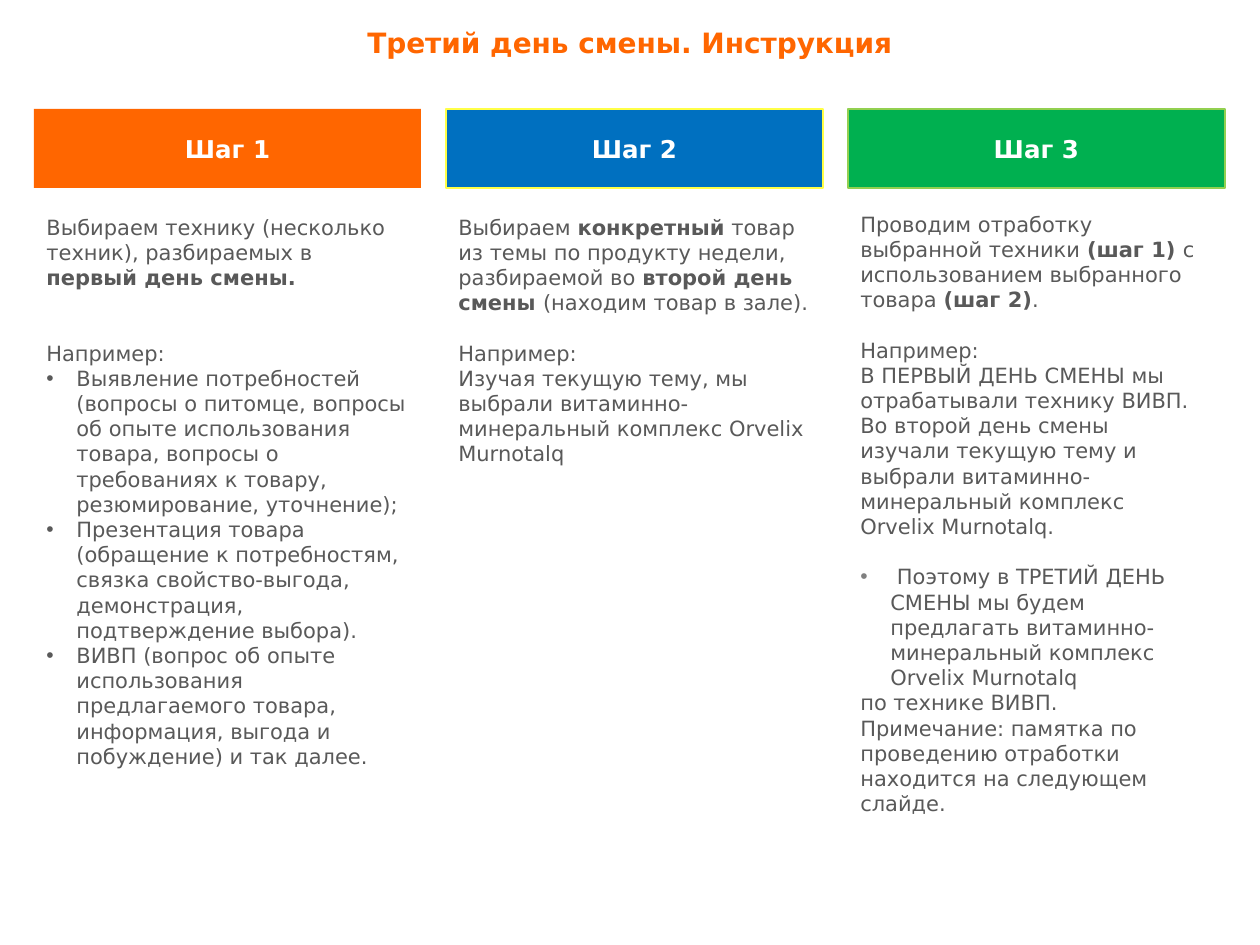
from lxml import etree
from pptx import Presentation
from pptx import util as u
from pptx.dml.color import RGBColor
from pptx.enum import shapes, text
from pptx.oxml.ns import qn

PX = 914400 // 126
FONT = "DejaVu Sans"
LINE_PT = 14.4
BULLET_INDENT = 30
HEADER_TOP, HEADER_HEIGHT = 109, 79
COLORS = {
    "orange": "FF6600", "blue": "0070C0", "green": "00B050",
    "yellow": "FFFF47", "lime": "92D050",
    "body": "595959", "gray": "808080", "white": "FFFFFF",
}

# Paragraph: (wording with **bold** parts, empty lines above, bullet colour)
STEPS = [
    {
        "name": "Шаг 1", "fill": "orange", "border": None,
        "left": 34, "width": 387, "body": (208, 387, 625),
        "paragraphs": [
            ("Выбираем технику (несколько техник), разбираемых в "
             "**первый день смены.**", 0, None),
            ("Например:", 2, None),
            ("Выявление потребностей (вопросы о питомце, вопросы об опыте "
             "использования товара, вопросы о требованиях к товару, "
             "резюмирование, уточнение);", 0, "body"),
            ("Презентация товара (обращение к потребностям, связка "
             "свойство-выгода, демонстрация, подтверждение выбора).", 0, "body"),
            ("ВИВП (вопрос об опыте использования предлагаемого товара, "
             "информация, выгода и побуждение) и так далее.", 0, "body"),
        ],
    },
    {
        "name": "Шаг 2", "fill": "blue", "border": "yellow",
        "left": 446, "width": 377, "body": (208, 377, 377),
        "paragraphs": [
            ("Выбираем **конкретный** товар из темы по продукту недели, "
             "разбираемой во **второй день смены **(находим товар в зале).",
             0, None),
            ("Например:", 1, None),
            ("Изучая текущую тему, мы выбрали витаминно-минеральный комплекс "
             "Orvelix Murnotalq", 0, None),
        ],
    },
    {
        "name": "Шаг 3", "fill": "green", "border": "lime",
        "left": 848, "width": 377, "body": (205, 367, 625),
        "paragraphs": [
            ("Проводим отработку выбранной техники **(шаг 1) **с "
             "использованием выбранного товара **(шаг 2)**.", 0, None),
            ("Например:", 1, None),
            ("В ПЕРВЫЙ ДЕНЬ СМЕНЫ мы отрабатывали технику ВИВП. Во второй "
             "день смены изучали текущую тему и выбрали "
             "витаминно-минеральный комплекс Orvelix Murnotalq.", 0, None),
            (" Поэтому в ТРЕТИЙ ДЕНЬ СМЕНЫ мы будем предлагать "
             "витаминно-минеральный комплекс Orvelix Murnotalq", 1, "gray"),
            ("по технике ВИВП.", 0, None),
            ("Примечание: памятка по проведению отработки находится на "
             "следующем слайде.", 0, None),
        ],
    },
]


def rgb(name):
    return RGBColor.from_string(COLORS[name])


def px(*lengths):
    return [u.Emu(length * PX) for length in lengths]


def style(paragraph, size, color, bold=None):
    font = paragraph.font
    font.name, font.size, font.bold = FONT, u.Pt(size), bold
    font.color.rgb = rgb(color)


def add_bullet(paragraph, color):
    properties = paragraph._p.get_or_add_pPr()
    properties.set("marL", str(BULLET_INDENT * PX))
    properties.set("indent", str(-BULLET_INDENT * PX))
    bullet_color = etree.SubElement(properties, qn("a:buClr"))
    etree.SubElement(bullet_color, qn("a:srgbClr"), val=COLORS[color])
    etree.SubElement(properties, qn("a:buFont"), typeface="Arial")
    etree.SubElement(properties, qn("a:buChar"), char="•")


def add_title(slide, wording):
    frame = slide.shapes.add_textbox(*px(0, 19, 1260, 47)).text_frame
    frame.word_wrap = True
    frame.auto_size = text.MSO_AUTO_SIZE.SHAPE_TO_FIT_TEXT
    title = frame.paragraphs[0]
    title.text = wording
    title.alignment = text.PP_ALIGN.CENTER
    style(title, 16, "orange", True)


def add_header(slide, step):
    header = slide.shapes.add_shape(
        shapes.MSO_SHAPE.RECTANGLE,
        *px(step["left"], HEADER_TOP, step["width"], HEADER_HEIGHT))
    header.shadow.inherit = False
    header.fill.solid()
    header.fill.fore_color.rgb = rgb(step["fill"])
    if step["border"]:
        header.line.color.rgb = rgb(step["border"])
        header.line.width = u.Pt(0.75)
    else:
        header.line.fill.background()
    header.text_frame.vertical_anchor = text.MSO_ANCHOR.MIDDLE
    label = header.text_frame.paragraphs[0]
    label.text = step["name"]
    label.alignment = text.PP_ALIGN.CENTER
    style(label, 14, "white", True)


def add_body(slide, step):
    top, width, height = step["body"]
    frame = slide.shapes.add_textbox(
        *px(step["left"], top, width, height)).text_frame
    frame.word_wrap = True
    for index, (wording, gap, bullet) in enumerate(step["paragraphs"]):
        paragraph = frame.add_paragraph() if index else frame.paragraphs[0]
        if bullet:
            add_bullet(paragraph, bullet)
        if gap:
            paragraph.space_before = u.Pt(gap * LINE_PT)
        style(paragraph, 12, "body")
        for part, words in enumerate(wording.split("**")):
            if words:
                run = paragraph.add_run()
                run.text = words
                if part % 2:
                    run.font.bold = True


def main():
    deck = Presentation()
    deck.slide_width, deck.slide_height = px(1260, 945)
    slide = deck.slides.add_slide(deck.slide_layouts[6])
    add_title(slide, "Третий день смены. Инструкция")
    for step in STEPS:
        add_header(slide, step)
        add_body(slide, step)
    deck.save("out.pptx")


if __name__ == "__main__":
    main()
